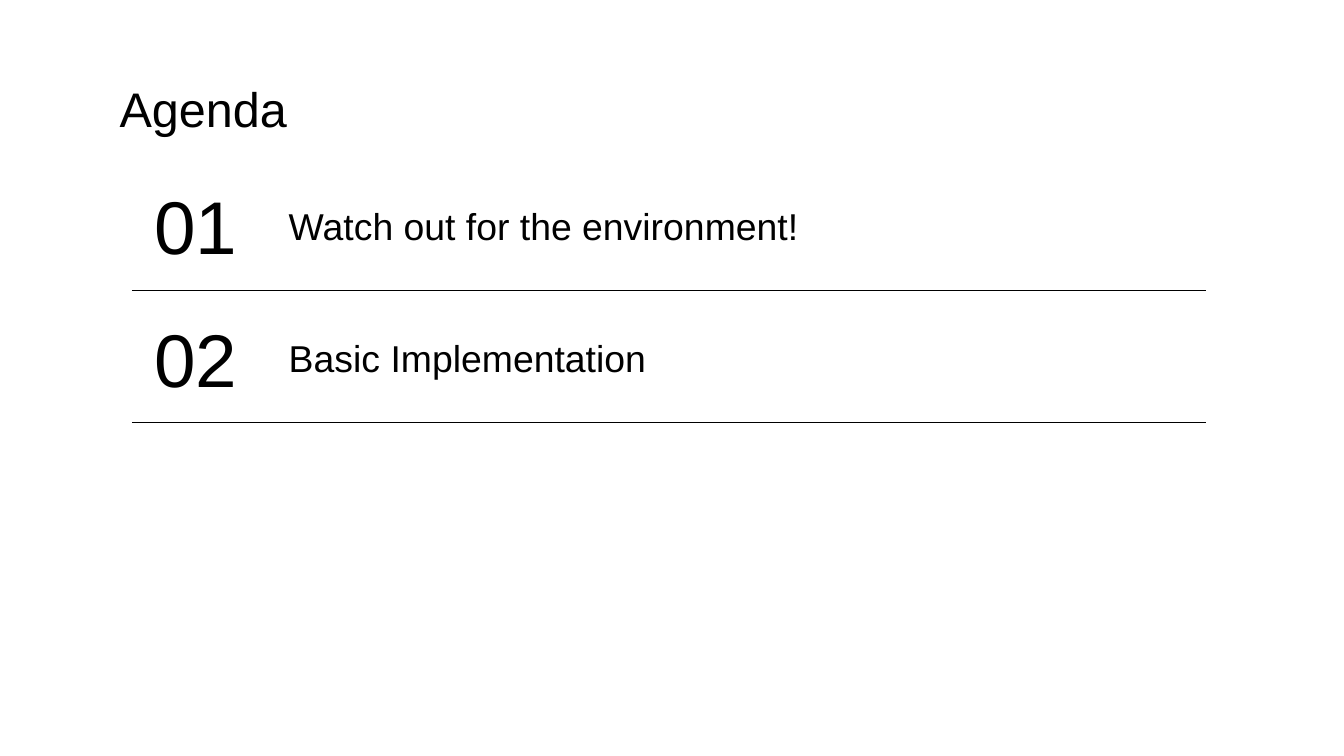
from lxml import etree
from pptx import Presentation
from pptx.dml.color import RGBColor
from pptx.enum.shapes import MSO_CONNECTOR
from pptx.enum.text import MSO_ANCHOR, MSO_AUTO_SIZE, PP_ALIGN
from pptx.oxml.ns import qn
from pptx.util import Pt

LEFT, CENTER = PP_ALIGN.LEFT, PP_ALIGN.CENTER
TOP, MIDDLE = MSO_ANCHOR.TOP, MSO_ANCHOR.MIDDLE
NO_FIT = MSO_AUTO_SIZE.NONE
STRAIGHT = MSO_CONNECTOR.STRAIGHT

COLORS = {"background": "FFFFFF", "text": "000000", "rule": "000000"}
FONT = "Arial"
INSET = 7.2

AGENDA = ["Watch out for the environment!", "Basic Implementation"]
TITLE_BOX = (56.9, 35.3, 607, 45.4)
LIST_BOX = (70.6, 90.7, 575.3, 141.6)


def rgb(name):
    return RGBColor.from_string(COLORS[name])


def write(sp, text, size, align=LEFT, anchor=MIDDLE):
    tf = sp.text_frame
    frame_format = {
        "word_wrap": True, "auto_size": NO_FIT, "vertical_anchor": anchor,
        "margin_left": Pt(INSET), "margin_right": Pt(INSET),
        "margin_top": Pt(INSET), "margin_bottom": Pt(INSET),
    }
    for name, value in frame_format.items():
        setattr(tf, name, value)
    p = tf.paragraphs[0]
    for name, value in {"alignment": align, "line_spacing": 1.0,
                        "space_before": Pt(0)}.items():
        setattr(p, name, value)
    r = p.add_run()
    r.text = text
    for name, value in {"name": FONT, "size": Pt(size), "bold": False}.items():
        setattr(r.font, name, value)
    r.font.color.rgb = rgb("text")


def add_title(s, box, text):
    sp = s.shapes.title
    for name, value in zip(("left", "top", "width", "height"), box):
        setattr(sp, name, Pt(value))
    write(sp, text, 26, anchor=TOP)


def add_text(s, box, text, size, align=LEFT):
    sp = s.shapes.add_textbox(*map(Pt, box))
    write(sp, text, size, align)


def add_rule(s, x, y, width):
    line = s.shapes.add_connector(STRAIGHT, Pt(x), Pt(y), Pt(x + width), Pt(y))
    line.line.color.rgb = rgb("rule")
    line.line.width = Pt(0.75)
    etree.SubElement(line._element.spPr, qn("a:effectLst"))


def add_agenda_row(s, box, number, topic):
    x, y, width, height = box
    add_text(s, (x + 3.6, y, 61.2, 59.8), f"{number:02d}", 40, CENTER)
    add_text(s, (x + 77, y + 14.4, 433, 31), topic, 20)
    add_rule(s, x, y + height - 5.8, width)


def add_agenda(s, box, topics):
    x, y, width, height = box
    row_height = height / len(topics)
    for i, topic in enumerate(topics):
        row = (x, y + i * row_height, width, row_height)
        add_agenda_row(s, row, i + 1, topic)


def main():
    prs = Presentation()
    prs.slide_width, prs.slide_height = Pt(720), Pt(405)

    # Title-only slide on a plain background
    s = prs.slides.add_slide(prs.slide_layouts[5])
    s.background.fill.solid()
    s.background.fill.fore_color.rgb = rgb("background")

    # Heading and numbered topics
    add_title(s, TITLE_BOX, "Agenda")
    add_agenda(s, LIST_BOX, AGENDA)

    prs.save("out.pptx")


if __name__ == "__main__":
    main()
